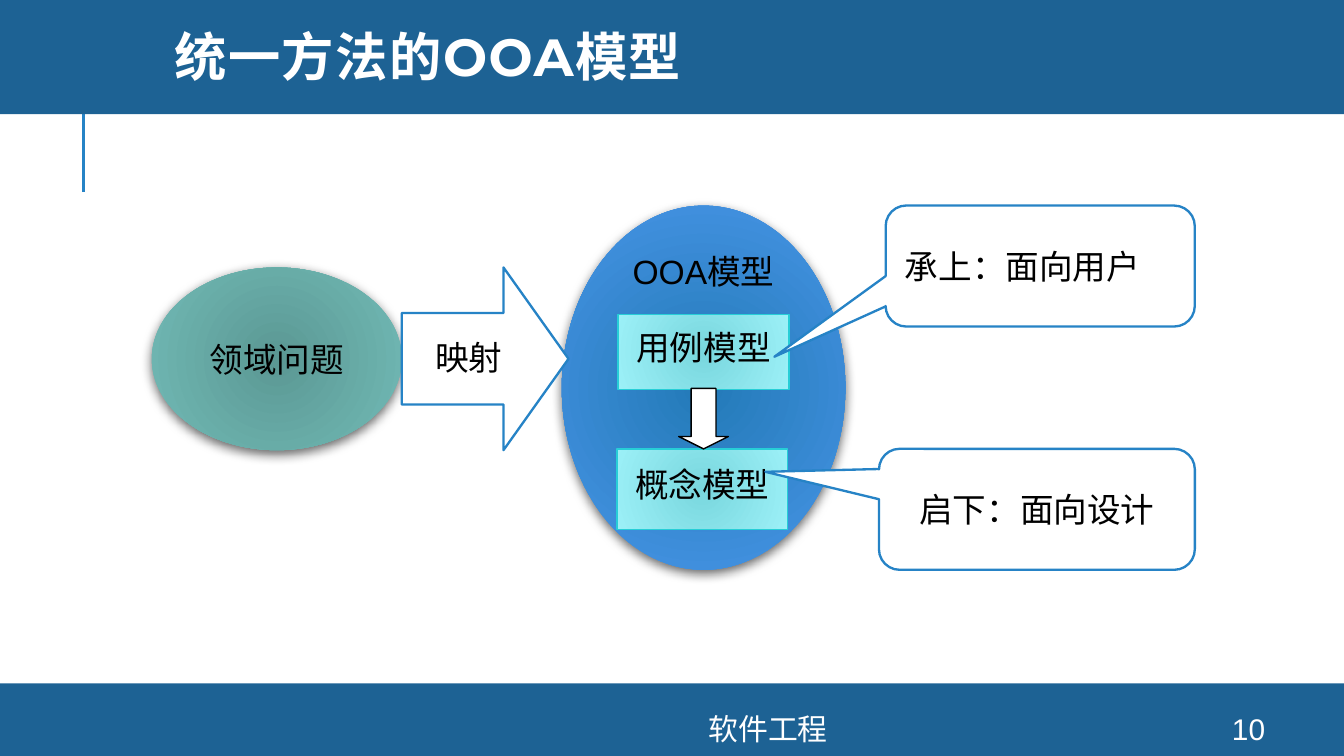
"""Builds the slide on the OOA model of the unified method."""
from lxml.etree import SubElement
from pptx import Presentation
from pptx.dml.color import RGBColor
from pptx.enum.shapes import MSO_CONNECTOR, MSO_SHAPE
from pptx.enum.text import MSO_ANCHOR, PP_ALIGN
from pptx.oxml.ns import qn
from pptx.util import Inches, Pt

WIDTH = 10
HEIGHT = WIDTH * 9 / 16
COLORS = {"bar": "1D6294", "accent": "2683C6", "white": "FFFFFF", "black": "000000", "aqua": "27CED7"}
GRADIENTS = {
    "teal": ("5B9894", "72BBB6"),
    "blue": ("237AB8", "4895E7"),
    "aqua": ("79D7DE", "9CF0F7"),
}
TITLE = "统一方法的OOA模型"
FOOTER, PAGE = "软件工程", "10"

HEADER_Y, HEADER_H, FOOTER_H = -0.03, 0.88, 0.54
TOP, BOTTOM = 1.53, 4.24
CALLOUT_H, CALLOUT_RIGHT = 0.9, 8.89
MAP_TOP, MAP_H = 1.99, 1.36
PROBLEM_X, MAP_X, MAP_RIGHT = 1.13, 2.99, 4.23
MODEL_X, MODEL_W = 4.18, 2.11
USE_CASE_X, CONCEPT_X, BOX_W = 4.6, 4.59, 1.27
USE_CASE_Y, USE_CASE_H, CONCEPT_H = 2.34, 0.56, 0.6
CONCEPT_Y = BOTTOM - CALLOUT_H
ARROW_W, ARROW_Y = 0.37, 2.89
ARROW_X = MODEL_X + (MODEL_W - ARROW_W) / 2
UPPER_X, LOWER_X = 6.59, 6.54

GLOW = {"shadow": True}
BOX = {"line": ("aqua", 0.75), "spacing": 0.96, "inset_top": 0}
OUTLINE = {"line": ("accent", 1.25)}
DIAGRAM = [
    ("领域问题", MSO_SHAPE.OVAL, (PROBLEM_X, MAP_TOP, MAP_X - PROBLEM_X, MAP_H), "teal", GLOW),
    ("OOA模型", MSO_SHAPE.OVAL, (MODEL_X, TOP, MODEL_W, BOTTOM - TOP), "blue",
     GLOW | {"spacing": 0.8, "inset_top": 0, "anchor": MSO_ANCHOR.TOP}),
    ("概念模型", MSO_SHAPE.RECTANGLE, (CONCEPT_X, CONCEPT_Y, BOX_W, CONCEPT_H), "aqua", BOX),
    ("用例模型", MSO_SHAPE.RECTANGLE, (USE_CASE_X, USE_CASE_Y, BOX_W, USE_CASE_H), "aqua", BOX),
    ("映射", MSO_SHAPE.RIGHT_ARROW, (MAP_X, MAP_TOP, MAP_RIGHT - MAP_X, MAP_H), "white",
     OUTLINE | {"spacing": 0.96, "adjust": (0.5, 0.39)}),
    ("承上：面向用户", MSO_SHAPE.ROUNDED_RECTANGULAR_CALLOUT,
     (UPPER_X, TOP, CALLOUT_RIGHT - UPPER_X, CALLOUT_H), "white",
     OUTLINE | {"adjust": (-0.86, 0.75, 0.17), "align": PP_ALIGN.JUSTIFY}),
    ("启下：面向设计", MSO_SHAPE.ROUNDED_RECTANGULAR_CALLOUT,
     (LOWER_X, CONCEPT_Y, CALLOUT_RIGHT - LOWER_X, CALLOUT_H), "white",
     OUTLINE | {"adjust": (-0.86, -0.31, 0.17)}),
    ("", MSO_SHAPE.DOWN_ARROW, (ARROW_X, ARROW_Y, ARROW_W, CONCEPT_Y - ARROW_Y), "white",
     {"line": ("black", 0.75), "adjust": (0.5, 0.25)}),
]


def rgb(name):
    return RGBColor.from_string(COLORS[name])


def write(sp, text, size, color, font="Arial", align=PP_ALIGN.CENTER, spacing=None,
          anchor=MSO_ANCHOR.MIDDLE):
    tf = sp.text_frame
    tf.word_wrap = True
    tf.vertical_anchor = anchor
    p = tf.paragraphs[0]
    p.text = text
    p.alignment = align
    p.line_spacing = spacing
    p.font.size = Pt(size)
    p.font.name = font
    p.font.color.rgb = rgb(color)
    return p


def fill_radial(sp, stops):
    sp.fill.gradient()
    for stop, color in zip(sp.fill.gradient_stops, stops):
        stop.color.rgb = RGBColor.from_string(color)
    grad = sp._element.spPr.find(qn("a:gradFill"))
    grad.remove(grad.find(qn("a:lin")))
    radial = SubElement(grad, qn("a:path"), {"path": "circle"})
    SubElement(radial, qn("a:fillToRect"), dict.fromkeys("ltrb", "100000"))


def add_shadow(sp):
    effects = sp._element.spPr.find(qn("a:effectLst"))
    shadow = SubElement(effects, qn("a:outerShdw"), {
        "blurRad": str(Pt(6)), "dist": str(Pt(2)), "dir": "5400000", "rotWithShape": "0"})
    color = SubElement(shadow, qn("a:srgbClr"), {"val": COLORS["black"]})
    SubElement(color, qn("a:alpha"), {"val": "60000"})


def add_shape(s, kind, at, fill, line=None, adjust=(), shadow=False):
    sp = s.shapes.add_shape(kind, *map(Inches, at))
    sp.shadow.inherit = False
    if fill in GRADIENTS:
        fill_radial(sp, GRADIENTS[fill])
    else:
        sp.fill.solid()
        sp.fill.fore_color.rgb = rgb(fill)
    if line:
        sp.line.color.rgb = rgb(line[0])
        sp.line.width = Pt(line[1])
    else:
        sp.line.fill.background()
    for i, value in enumerate(adjust):
        sp.adjustments[i] = value
    if shadow:
        add_shadow(sp)
    return sp


def add_frame(s):
    rule = s.shapes.add_connector(MSO_CONNECTOR.STRAIGHT, *map(Inches, (0.62, 1.43, 0.62, 0.68)))
    rule.line.color.rgb = rgb("accent")
    rule.line.width = Pt(1.5)
    SubElement(rule._element.spPr, qn("a:effectLst"))
    for top, height in ((HEIGHT - FOOTER_H, FOOTER_H), (HEADER_Y, HEADER_H)):
        add_shape(s, MSO_SHAPE.RECTANGLE, (0, top, WIDTH, height), "bar")

    title = s.shapes.title
    title.left, title.top, title.width, title.height = map(Inches, (1.2, 0, 8.49, 0.91))
    p = write(title, TITLE, 28, "white", "Montserrat", PP_ALIGN.LEFT, 0.8)
    p.font.bold = True
    p.runs[0].font._element.set("spc", "80")
    s.shapes._spTree.append(title._element)

    for text, left, width in ((FOOTER, 2.61, 6.21), (PAGE, 8.89, 0.8)):
        write(s.shapes.add_textbox(*map(Inches, (left, 5.31, width, 0.23))), text, 16, "white")


def add_diagram(s):
    for text, kind, at, fill, style in DIAGRAM:
        look = {k: v for k, v in style.items() if k in ("line", "adjust", "shadow")}
        layout = {k: v for k, v in style.items() if k in ("align", "spacing", "anchor")}
        sp = add_shape(s, kind, at, fill, **look)
        if text:
            write(sp, text, 18, "black", **layout)
            sp.text_frame.margin_top = Inches(style.get("inset_top", 0.05))


def main():
    prs = Presentation()
    prs.slide_width, prs.slide_height = Inches(WIDTH), Inches(HEIGHT)
    s = prs.slides.add_slide(prs.slide_layouts[5])
    add_frame(s)
    add_diagram(s)
    prs.save("out.pptx")


if __name__ == "__main__":
    main()
